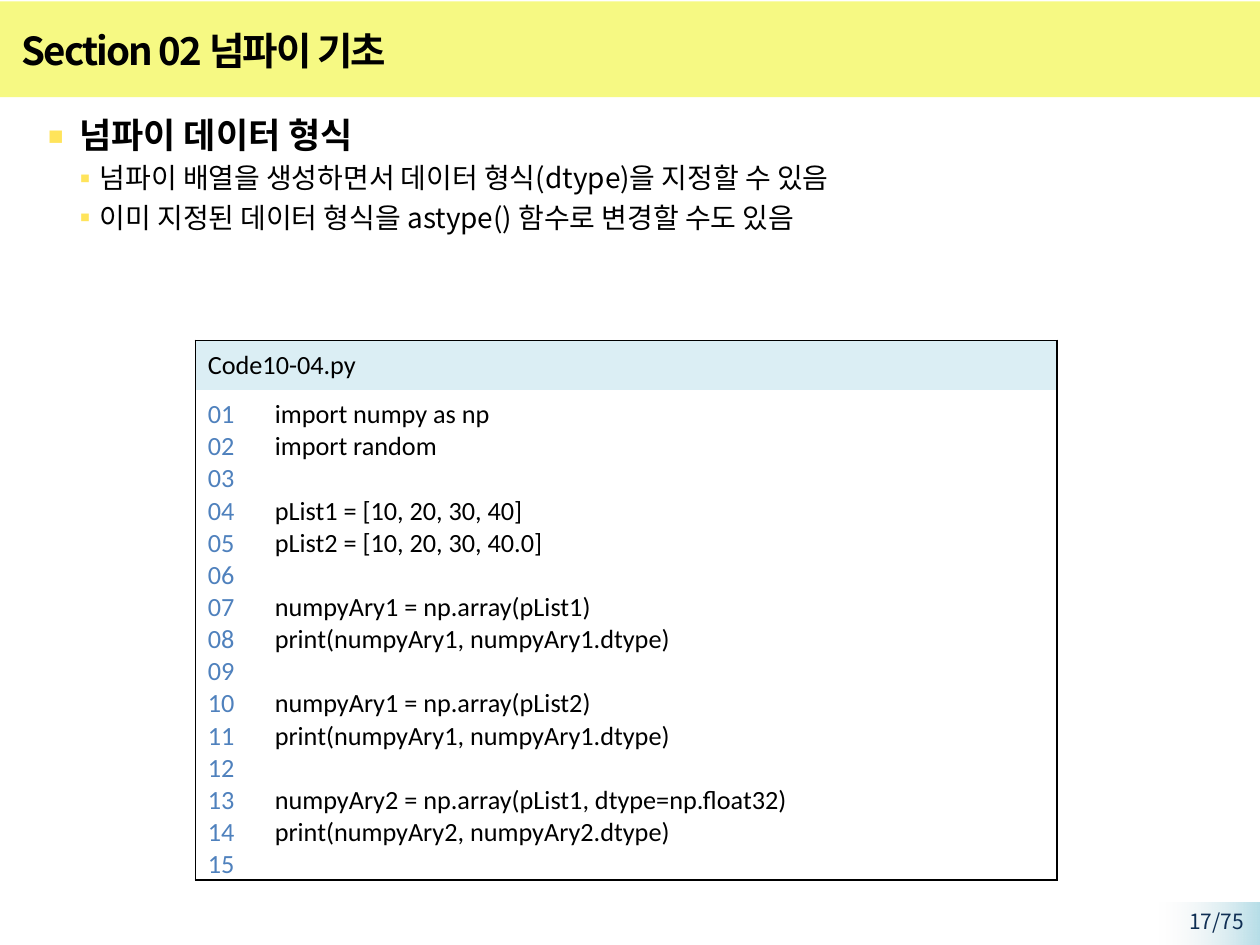
import dataclasses

import lxml.etree
import pptx
import pptx.dml.color
import pptx.enum.shapes
import pptx.enum.text
import pptx.oxml.ns
import pptx.util

Cm = pptx.util.Cm
Pt = pptx.util.Pt
RGB = pptx.dml.color.RGBColor.from_string
qn = pptx.oxml.ns.qn
ALIGN = pptx.enum.text.PP_ALIGN
ANCHOR = pptx.enum.text.MSO_ANCHOR


@dataclasses.dataclass(frozen=True)
class Theme:
    sans: str = "Noto Sans CJK KR"
    code: str = "Calibri"
    ink: str = "000000"
    band: str = "F6F983"
    bullet: str = "FFE45B"
    number: str = "4F81BD"
    code_head: str = "DBEEF4"
    corner: tuple = ((0, "B7DEE8", 100), (100, "F2F2F2", 0))
    page_ink: tuple = ((0, "0B203B", 100), (50, "0F2E53", 100), (100, "123663", 100))
    title_size: int = 22
    head_size: int = 20
    point_size: int = 16
    code_size: int = 15
    page_size: int = 12
    plain_table: str = "{2D5ABB26-0587-4C30-8999-92F81FD0307C}"


T = Theme()

POINTS = [
    "넘파이 배열을 생성하면서 데이터 형식(dtype)을 지정할 수 있음",
    "이미 지정된 데이터 형식을 astype() 함수로 변경할 수도 있음",
]

CODE = """import numpy as np
import random

pList1 = [10, 20, 30, 40]
pList2 = [10, 20, 30, 40.0]

numpyAry1 = np.array(pList1)
print(numpyAry1, numpyAry1.dtype)

numpyAry1 = np.array(pList2)
print(numpyAry1, numpyAry1.dtype)

numpyAry2 = np.array(pList1, dtype=np.float32)
print(numpyAry2, numpyAry2.dtype)""".split("\n")


def set_all(obj, values):
    for name, value in values.items():
        setattr(obj, name, value)


def sub(parent, tag, **attrs):
    return lxml.etree.SubElement(parent, qn(tag), attrs)


def gradient(parent, index, stops, angle):
    grad = lxml.etree.Element(qn("a:gradFill"))
    gs_lst = sub(grad, "a:gsLst")
    for pos, color, opacity in stops:
        gs = sub(gs_lst, "a:gs", pos=str(pos * 1000))
        clr = sub(gs, "a:srgbClr", val=color)
        if opacity < 100:
            sub(clr, "a:alpha", val=str(opacity * 1000))
    sub(grad, "a:lin", ang=str(angle * 60000), scaled="0")
    parent.insert(index, grad)


def add_run(p, text, size, font=T.sans, color=T.ink, bold=False):
    r = p.add_run()
    r.text = text
    set_all(r.font, {"name": font, "size": Pt(size), "bold": bold})
    r.font.color.rgb = RGB(color)
    sub(r.font._element, "a:ea", typeface=font)
    return r


def add_rect(s, *box):
    sp = s.shapes.add_shape(pptx.enum.shapes.MSO_SHAPE.RECTANGLE, *map(Cm, box))
    sp.shadow.inherit = False
    sp.line.fill.background()
    return sp


def add_text(s, *box, anchor=ANCHOR.TOP):
    tf = s.shapes.add_textbox(*map(Cm, box)).text_frame
    set_all(tf, {"word_wrap": True, "vertical_anchor": anchor})
    return tf


def add_bullet(p, text, size, margin, indent, scale=100, level=0, bold=False):
    set_all(p, {"level": level, "line_spacing": 1.0, "space_before": Pt(size * 0.2)})
    ppr = p._p.get_or_add_pPr()
    ppr.set("marL", str(Cm(margin)))
    ppr.set("indent", str(Cm(indent)))
    sub(sub(ppr, "a:buClr"), "a:srgbClr", val=T.bullet)
    sub(ppr, "a:buSzPct", val=str(scale * 1000))
    sub(ppr, "a:buFont", typeface=T.sans)
    sub(ppr, "a:buChar", char="▪")
    add_run(p, text, size, bold=bold)


def fill_cell(cell, lines, color=T.ink, sides="", fill=None):
    set_all(cell, {"margin_left": Cm(0.25), "margin_right": Cm(0.25),
                   "margin_top": Cm(0.18), "margin_bottom": Cm(0.18)})
    tf = cell.text_frame
    for i, line in enumerate(lines):
        p = tf.add_paragraph() if i else tf.paragraphs[0]
        if line:
            add_run(p, line, T.code_size, T.code, color)
        else:
            end = sub(p._p, "a:endParaRPr", sz=str(T.code_size * 100))
            sub(end, "a:latin", typeface=T.code)
    if fill:
        cell.fill.solid()
        cell.fill.fore_color.rgb = RGB(fill)
    else:
        cell.fill.background()
    tcpr = cell._tc.get_or_add_tcPr()
    for i, side in enumerate(sides):
        ln = lxml.etree.Element(qn("a:ln" + side), w=str(Pt(1)))
        sub(sub(ln, "a:solidFill"), "a:srgbClr", val=T.ink)
        tcpr.insert(i, ln)


def add_code_table(s, name, code, line_count):
    frame = s.shapes.add_table(2, 2, Cm(3.94), Cm(6.86), Cm(17.37), Cm(10.62))
    table = frame.table
    set_all(table, {"first_row": False, "horz_banding": False})
    table._tbl.tblPr.find(qn("a:tableStyleId")).text = T.plain_table
    for col, width in zip(table.columns, (1.35, 16.02)):
        col.width = Cm(width)
    for row, height in zip(table.rows, (0.97, 9.65)):
        row.height = Cm(height)
    table.cell(0, 0).merge(table.cell(0, 1))
    numbers = [f"{n:02d}" for n in range(1, line_count + 1)]
    fill_cell(table.cell(0, 0), [name], sides="LRT", fill=T.code_head)
    fill_cell(table.cell(0, 1), [], sides="RT", fill=T.code_head)
    fill_cell(table.cell(1, 0), numbers, color=T.number, sides="LB")
    fill_cell(table.cell(1, 1), code, sides="RB")


def add_page_number(s, text):
    corner = add_rect(s, 23.37, 18.19, 2.03, 0.86)
    gradient(corner._element.spPr, 2, T.corner, 180)
    p = add_text(s, 22.99, 18.19, 2.34, 0.58).paragraphs[0]
    p.alignment = ALIGN.RIGHT
    rpr = add_run(p, text, T.page_size).font._element
    rpr.remove(rpr.find(qn("a:solidFill")))
    gradient(rpr, 0, T.page_ink, 270)


def add_title(s, text):
    band = add_rect(s, 0, 0.03, 25.4, 1.93)
    band.fill.solid()
    band.fill.fore_color.rgb = RGB(T.band)
    tf = add_text(s, 0.18, 0.36, 21.62, 1.32, anchor=ANCHOR.MIDDLE)
    r = add_run(tf.paragraphs[0], text, T.title_size, bold=True)
    r.font._element.set("spc", "-100")


def add_body(s, heading, points):
    tf = add_text(s, 0.18, 2.16, 24.89, 15.75)
    add_bullet(tf.paragraphs[0], heading, T.head_size, 0.99, -0.74, scale=130, bold=True)
    for point in points:
        add_bullet(tf.add_paragraph(), point, T.point_size, 1.5, -0.48, level=1)


def main():
    prs = pptx.Presentation()
    set_all(prs, {"slide_width": Cm(25.4), "slide_height": Cm(19.05)})
    s = prs.slides.add_slide(prs.slide_layouts[6])
    add_title(s, "Section 02 넘파이 기초")
    add_page_number(s, "17/75")
    add_body(s, "넘파이 데이터 형식", POINTS)
    add_code_table(s, "Code10-04.py", CODE, 15)
    prs.save("out.pptx")


if __name__ == "__main__":
    main()
